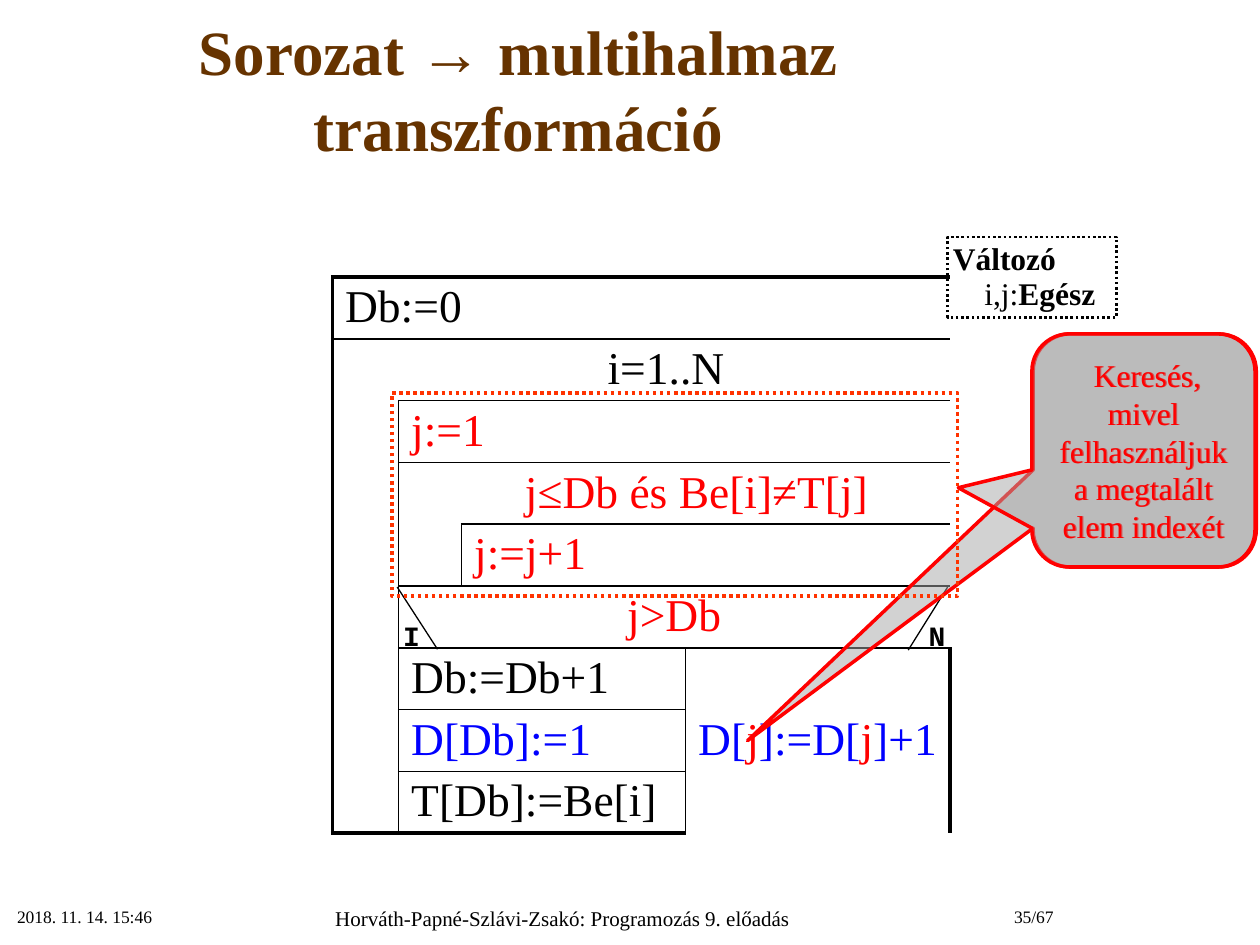
from dataclasses import dataclass
from itertools import product

from lxml.etree import SubElement
from pptx import Presentation
from pptx.dml.color import RGBColor
from pptx.enum.dml import MSO_LINE
from pptx.enum.shapes import MSO_CONNECTOR as Connector, MSO_SHAPE as Shape
from pptx.enum.text import MSO_ANCHOR as Anchor, PP_ALIGN as Align
from pptx.oxml.ns import qn
from pptx.util import Pt


@dataclass(frozen=True)
class Theme:
    serif: str = "Times New Roman"
    mono: str = "Courier New"
    brown: str = "663300"
    black: str = "000000"
    red: str = "FF0000"
    blue: str = "0000FF"
    orange: str = "FF3300"
    grey: str = "A6A6A6"
    title: float = 36
    code: float = 26
    note: float = 18
    label: float = 16
    footer: float = 12
    small: float = 10
    thin: float = 1
    thick: float = 2.25


THEME = Theme()
COLUMNS = [37.8, 36, 128, 151]
ROWS = [35.3] * 9


def rgb(color):
    return RGBColor.from_string(color)


def style(target, size, color=THEME.black, bold=False, name=THEME.serif):
    font = target.font
    font.size, font.bold, font.name = Pt(size), bold, name
    font.color.rgb = rgb(color)


def add_text(page, at, text, size, align=Align.LEFT, anchor=Anchor.TOP, **look):
    box = page.shapes.add_textbox(*map(Pt, at))
    frame = box.text_frame
    frame.word_wrap = True
    frame.vertical_anchor = anchor
    para = frame.paragraphs[0]
    para.text, para.alignment = text, align
    style(para, size, **look)


def add_outline(page, kind, at, color, width, dotted=False):
    shape = page.shapes.add_shape(kind, *map(Pt, at))
    shape.shadow.inherit = False
    shape.fill.background()
    shape.line.color.rgb = rgb(color)
    shape.line.width = Pt(width)
    if dotted:
        shape.line.dash_style = MSO_LINE.ROUND_DOT
    return shape


def add_slant(page, start, end):
    line = page.shapes.add_connector(Connector.STRAIGHT, *map(Pt, start + end))
    line.line.color.rgb = rgb(THEME.black)
    line.line.width = Pt(0.75)
    SubElement(line._element.spPr, qn("a:effectLst"))


def add_callout(page, at, tip):
    shape = add_outline(page, Shape.ROUNDED_RECTANGULAR_CALLOUT, at, THEME.red, 2)
    shape.adjustments[0], shape.adjustments[1] = tip
    shape.fill.solid()
    shape.fill.fore_color.rgb = rgb(THEME.grey)
    color = shape._element.spPr.find(qn("a:solidFill"))[0]
    SubElement(color, qn("a:alpha"), val="50000")
    frame = shape.text_frame
    frame.word_wrap = True
    frame.vertical_anchor = Anchor.MIDDLE
    para = frame.paragraphs[0]
    para.text = " Keresés, mivel felhasználjuk a megtalált elem indexét"
    para.alignment = Align.CENTER
    style(para, THEME.note, THEME.red)


def add_variables(page, at):
    box = add_outline(page, Shape.RECTANGLE, at, THEME.black, 1.5, dotted=True)
    frame = box.text_frame
    frame.word_wrap = True
    frame.vertical_anchor = Anchor.TOP
    frame.margin_left = frame.margin_top = frame.margin_bottom = Pt(3)
    frame.margin_right = 0
    lines = [(0, [("Változó", True)]), (18, [("i,j:", False), ("Egész", True)])]
    for number, (indent, spans) in enumerate(lines):
        para = frame.add_paragraph() if number else frame.paragraphs[0]
        para.alignment, para.line_spacing = Align.LEFT, Pt(20)
        para._p.get_or_add_pPr().set("marL", str(Pt(indent)))
        for text, bold in spans:
            span = para.add_run()
            span.text = text
            style(span, THEME.note, bold=bold)


def set_border(cell, side, width):
    edge = SubElement(cell._tc.get_or_add_tcPr(), qn(f"a:ln{side}"))
    if not width:
        SubElement(edge, qn("a:noFill"))
        return
    edge.set("w", str(Pt(width)))
    fill = SubElement(edge, qn("a:solidFill"))
    SubElement(fill, qn("a:srgbClr"), val=THEME.black)


def add_block(table, row, column, height, width, spans=(), open_sides="",
              indent=0, align=Align.LEFT):
    last_row, last_column = row + height - 1, column + width - 1
    origin = table.cell(row, column)
    if height * width > 1:
        origin.merge(table.cell(last_row, last_column))
    for r, c in product(range(row, last_row + 1), range(column, last_column + 1)):
        sides = {
            "L": (c == column, c == 0),
            "R": (c == last_column, c == len(COLUMNS) - 1),
            "T": (r == row, r == 0),
            "B": (r == last_row, r == len(ROWS) - 1),
        }
        cell = table.cell(r, c)
        for side, (edge, frame) in sides.items():
            drawn = edge and side not in open_sides
            set_border(cell, side, (THEME.thick if frame else THEME.thin) if drawn else 0)
        cell.fill.background()
    origin.vertical_anchor = Anchor.MIDDLE
    para = origin.text_frame.paragraphs[0]
    para.alignment, para.line_spacing = align, Pt(28)
    para._p.get_or_add_pPr().set("marL", str(Pt(indent)))
    for text, color in spans:
        span = para.add_run()
        span.text = text
        style(span, THEME.code, color)


def add_structogram(page, left, top):
    table = page.shapes.add_table(len(ROWS), len(COLUMNS), Pt(left), Pt(top),
                                  Pt(sum(COLUMNS)), Pt(sum(ROWS))).table
    table.first_row = table.horz_banding = False
    for column, width in zip(table.columns, COLUMNS):
        column.width = Pt(width)
    for row, height in zip(table.rows, ROWS):
        row.height = Pt(height)
    black, red, blue = THEME.black, THEME.red, THEME.blue
    add_block(table, 0, 0, 1, 4, [("Db:=0", black)])
    add_block(table, 1, 0, 1, 4, [("i=1..N", black)], "B", indent=150)
    add_block(table, 2, 0, 4, 1, open_sides="TB")
    add_block(table, 2, 1, 1, 3, [("j:=1", red)])
    add_block(table, 3, 1, 1, 3, [("j≤Db és Be[i]≠T[j]", red)], "B", indent=65)
    add_block(table, 4, 1, 1, 1, open_sides="T")
    add_block(table, 4, 2, 1, 2, [("j:=j+1", red)])
    add_block(table, 5, 1, 1, 3, [("j>Db", red)], align=Align.CENTER)
    steps = [("Db:=Db+1", black), ("D[Db]:=1", blue), ("T[Db]:=Be[i]", black)]
    for row, step in enumerate(steps, start=6):
        add_block(table, row, 0, 1, 1, open_sides="T" if row == 8 else "TB")
        add_block(table, row, 1, 1, 2, [step])
    add_block(table, 6, 3, 3, 1, [("D[", blue), ("j", red), ("]:=D[", blue),
                                  ("j", red), ("]+1", blue)])


def main():
    deck = Presentation()
    deck.slide_width, deck.slide_height = Pt(720), Pt(540)
    page = deck.slides.add_slide(deck.slide_layouts[6])

    add_text(page, (0, 6.5, 592.5, 88), "Sorozat → multihalmaz transzformáció",
             THEME.title, Align.CENTER, Anchor.MIDDLE, color=THEME.brown, bold=True)
    add_text(page, (2.7, 514, 150, 28), "2018. 11. 14. 15:46", THEME.small)
    add_text(page, (152.5, 514, 338, 26),
             "Horváth-Papné-Szlávi-Zsakó: Programozás 9. előadás",
             THEME.footer, Align.CENTER)
    add_structogram(page, 190, 158.4)
    add_slant(page, (227, 335.5), (250, 371))
    add_slant(page, (541.5, 335.5), (519, 371.5))
    for left, label in [(223.2, "I"), (523.5, "N")]:
        add_text(page, (left, 350, 23, 25), label, THEME.label,
                 bold=True, name=THEME.mono)
    add_variables(page, (541.5, 135.4, 96.5, 46))
    add_text(page, (517.7, 514, 91.5, 28), "35/67", THEME.small, Align.RIGHT)
    add_callout(page, (590.4, 190.8, 127.5, 133.2), (-1.78, 1.245))
    add_callout(page, (589.7, 190.8, 127.5, 133.2), (-0.83, 0.16))
    add_outline(page, Shape.RECTANGLE, (224, 224.7, 323.3, 116), THEME.orange, 2,
                dotted=True)
    deck.save("out.pptx")


if __name__ == "__main__":
    main()
